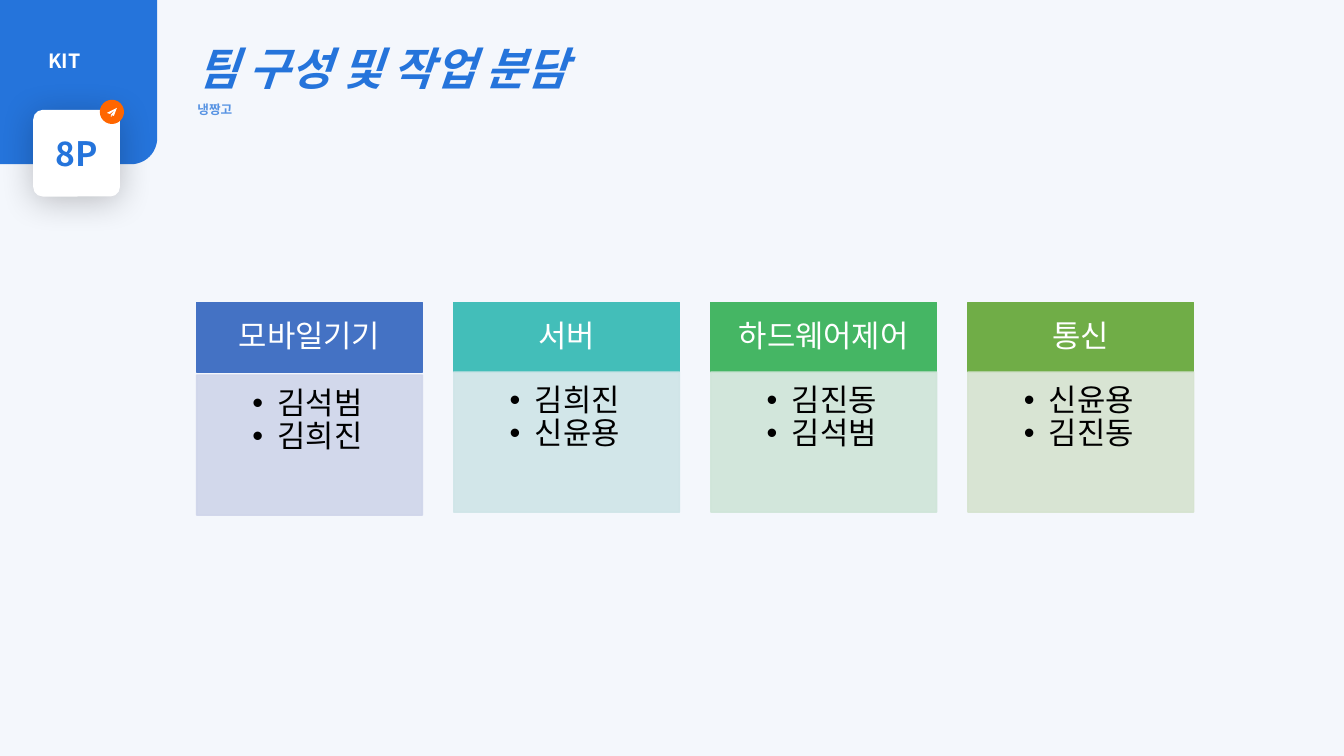
from dataclasses import dataclass

from lxml import etree
from pptx import Presentation
from pptx.dml.color import RGBColor
from pptx.enum.shapes import MSO_SHAPE
from pptx.enum.text import MSO_ANCHOR, PP_ALIGN
from pptx.oxml.ns import qn
from pptx.util import Inches, Pt

RECTANGLE = MSO_SHAPE.RECTANGLE
ROUNDED = MSO_SHAPE.ROUNDED_RECTANGLE
ONE_ROUND_CORNER = MSO_SHAPE.ROUND_1_RECTANGLE
OVAL = MSO_SHAPE.OVAL
TOP, MIDDLE = MSO_ANCHOR.TOP, MSO_ANCHOR.MIDDLE
LEFT, CENTER = PP_ALIGN.LEFT, PP_ALIGN.CENTER


@dataclass(frozen=True)
class Theme:
    """Colours, typeface and type sizes of the deck."""
    font: str = "Noto Sans CJK KR"
    background: str = "F4F7FC"
    primary: str = "2574DB"
    subtitle: str = "5793E3"
    accent: str = "FF6600"
    white: str = "FFFFFF"
    black: str = "000000"
    title_size: int = 32
    badge_size: int = 24
    card_size: int = 22
    label_size: int = 14
    subtitle_size: int = 9


class SlideBuilder:
    """Draws styled elements on the current slide."""

    def __init__(self, slide, theme):
        self.slide = slide
        self.theme = theme
        slide.background.fill.solid()
        slide.background.fill.fore_color.rgb = RGBColor.from_string(theme.background)

    def paint(self, shape, color, outlined=False, alpha=None):
        shape.shadow.inherit = False
        shape.fill.solid()
        shape.fill.fore_color.rgb = RGBColor.from_string(color)
        if outlined:
            shape.line.color.rgb = RGBColor.from_string(color)
            shape.line.width = Pt(1)
        else:
            shape.line.fill.background()
        if alpha:
            for swatch in shape._element.spPr.iter(qn("a:srgbClr")):
                etree.SubElement(swatch, qn("a:alpha"), val=str(alpha * 1000))

    def shape(self, kind, left, top, width, height, color, outlined=False, alpha=None):
        box = self.slide.shapes.add_shape(
            kind, Inches(left), Inches(top), Inches(width), Inches(height))
        self.paint(box, color, outlined, alpha)
        return box

    def textbox(self, left, top, width, height):
        return self.slide.shapes.add_textbox(
            Inches(left), Inches(top), Inches(width), Inches(height))

    def outline(self, color, *contours):
        builder = None
        for start, *points in contours:
            if builder is None:
                builder = self.slide.shapes.build_freeform(*start, scale=Inches(0.01))
            else:
                builder.move_to(*start)
            builder.add_line_segments(points, close=True)
        self.paint(builder.convert_to_shape(), color)

    def frame(self, box, insets=(0.1, 0.05, 0.1, 0.05), anchor=TOP, wrap=True):
        frame = box.text_frame
        frame.word_wrap = wrap
        frame.vertical_anchor = anchor
        frame.margin_left, frame.margin_top, frame.margin_right, frame.margin_bottom = map(
            Inches, insets)
        return frame

    def text(self, frame, lines, align=LEFT, spacing=1.0, bold=False, bullet=False):
        frame.text = "\n".join(words for words, *_ in lines)
        for para, (_, size, color, italic) in zip(frame.paragraphs, lines):
            para.alignment = align
            para.line_spacing = spacing
            if bullet:
                self.bullet(para)
            for span in para.runs:
                span.font.size = Pt(size)
                span.font.bold = bold
                span.font.italic = italic
                span.font.color.rgb = RGBColor.from_string(color)
                span.font.name = self.theme.font
                etree.SubElement(span._r.get_or_add_rPr(), qn("a:ea"), typeface=self.theme.font)

    def bullet(self, para):
        para.level = 1
        properties = para._p.get_or_add_pPr()
        properties.set("marL", str(Inches(0.25)))
        properties.set("indent", str(-Inches(0.25)))
        etree.SubElement(properties, qn("a:buFont"), typeface="Arial")
        etree.SubElement(properties, qn("a:buChar"), char="•")

    def soft_shadow(self, shape):
        effects = shape._element.spPr.find(qn("a:effectLst"))
        shadow = etree.SubElement(
            effects, qn("a:outerShdw"), blurRad=str(Pt(25)), dist=str(Pt(3)),
            dir="5400000", algn="t", rotWithShape="0")
        swatch = etree.SubElement(shadow, qn("a:srgbClr"), val=self.theme.black)
        etree.SubElement(swatch, qn("a:alpha"), val="24000")

    def badge(self):
        theme = self.theme
        corner = self.shape(ONE_ROUND_CORNER, 0, 0, 1.56, 1.63, theme.primary)
        corner._element.spPr.xfrm.set("flipV", "1")
        tile = self.shape(ROUNDED, 0.33, 1.09, 0.86, 0.86, theme.white)
        tile.adjustments[0] = 0.11
        self.soft_shadow(tile)
        self.text(self.frame(tile, anchor=MIDDLE, wrap=False),
                  [("8P", theme.badge_size, theme.primary, False)], CENTER, bold=True)
        self.shape(OVAL, 0.99, 0.99, 0.24, 0.24, theme.accent)
        self.outline(theme.white,
                     [(110, 114), (111, 115), (110, 116)],
                     [(116, 107), (113, 115), (110, 114), (114, 109), (109, 113), (106, 112)])
        self.text(self.frame(self.textbox(0.38, 0.44, 0.55, 0.34), wrap=False),
                  [("KIT", theme.label_size, theme.white, False)], bold=True)

    def title(self, heading, subtitle):
        theme = self.theme
        self.text(self.frame(self.textbox(1.86, 0.09, 6.67, 1.11)),
                  [(heading, theme.title_size, theme.primary, True),
                   (subtitle, theme.subtitle_size, theme.subtitle, False)],
                  spacing=1.5, bold=True)

    def card(self, left, body_top, heading, members, color, tint):
        theme = self.theme
        header = self.shape(RECTANGLE, left, 3, 2.24, 0.69, color, outlined=True)
        self.text(self.frame(header, (0.17, 0.1, 0.17, 0.1), MIDDLE),
                  [(heading, theme.card_size, theme.white, False)], CENTER, 0.9)
        body = self.shape(RECTANGLE, left, body_top, 2.24, 1.39, tint, outlined=True, alpha=90)
        self.text(self.frame(body, (0.13, 0.13, 0.17, 0.19)),
                  [(name, theme.card_size, theme.black, False) for name in members],
                  CENTER, 0.9, bullet=True)


def main():
    """Build the team slide and save it."""
    deck = Presentation()
    deck.slide_width, deck.slide_height = Inches(13.33), Inches(7.5)
    page = SlideBuilder(deck.slides.add_slide(deck.slide_layouts[6]), Theme())
    page.badge()
    page.title("팀 구성 및 작업 분담", "냉짱고")
    teams = [
        (3.72, "모바일기기", ("김석범", "김희진"), "4472C4", "CFD5EA"),
        (3.69, "서버", ("김희진", "신윤용"), "43BEB9", "CFE5E8"),
        (3.69, "하드웨어제어", ("김진동", "김석범"), "45B664", "CFE5D8"),
        (3.69, "통신", ("신윤용", "김진동"), "70AD47", "D5E3CF"),
    ]
    for column, team in enumerate(teams):
        page.card(1.95 + 2.55 * column, *team)
    deck.save("out.pptx")


if __name__ == "__main__":
    main()
